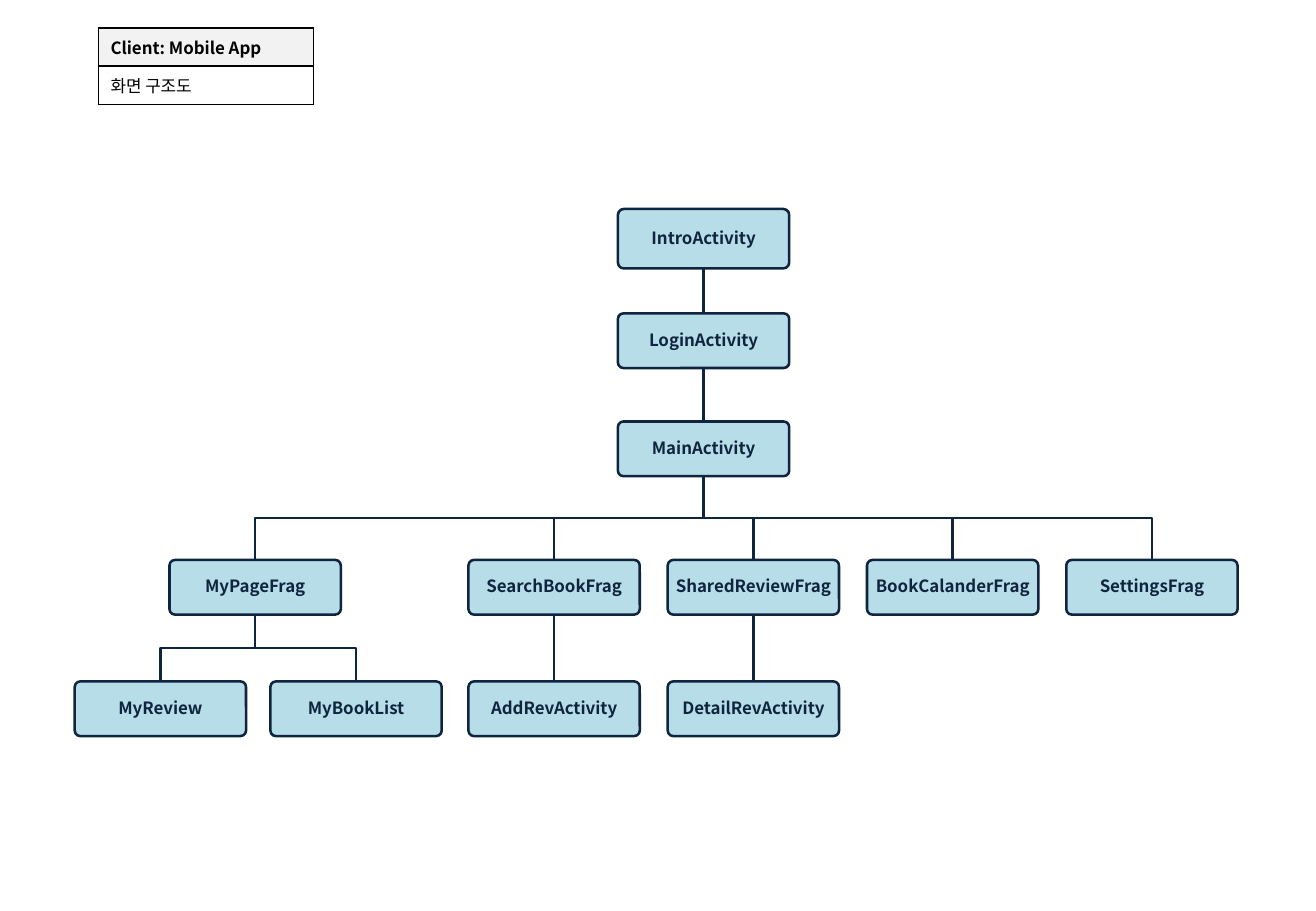
from dataclasses import dataclass
from typing import NamedTuple

from lxml.etree import SubElement
from pptx import Presentation
from pptx.dml.color import RGBColor as RGB
from pptx.enum.shapes import MSO_CONNECTOR as Connector, MSO_SHAPE as Preset
from pptx.enum.text import MSO_ANCHOR as Anchor, PP_ALIGN as Align
from pptx.oxml.ns import qn
from pptx.util import Inches, Pt


@dataclass(frozen=True)
class Theme:
    """Colours, font and sizes of the slide."""
    node: RGB = RGB(0xB7, 0xDE, 0xE8)
    navy: RGB = RGB(0x0F, 0x24, 0x3E)
    black: RGB = RGB(0, 0, 0)
    header: RGB = RGB(0xF2, 0xF2, 0xF2)
    white: RGB = RGB(0xFF, 0xFF, 0xFF)
    font: str = "Noto Sans CJK KR"
    text_size: Pt = Pt(10)
    line_width: Pt = Pt(1.5)
    border_width: Pt = Pt(1)


class Box(NamedTuple):
    """A rectangle in inches."""
    left: float
    top: float
    width: float
    height: float

    @property
    def centre(self):
        """Return the horizontal centre."""
        return self.left + self.width / 2

    @property
    def bottom(self):
        """Return the lower edge."""
        return self.top + self.height


THEME = Theme()
NODE_WIDTH, NODE_HEIGHT, INTRO_HEIGHT = 1.41, 0.45, 0.49
INTRO_TOP, LOGIN_TOP, MAIN_TOP, FRAGMENT_TOP, DETAIL_TOP = 0, 0.86, 1.75, 2.89, 3.89
SEARCH_X, PITCH = 3.94, 1.64
MY_PAGE_X = SEARCH_X - 1.5 * PITCH
SHARED_X, CALENDAR_X, SETTINGS_X = (SEARCH_X + PITCH * step for step in (1, 2, 3))
MAIN_X = (MY_PAGE_X + SETTINGS_X) / 2

SCREENS = [
    ("IntroActivity", None, MAIN_X, INTRO_TOP, INTRO_HEIGHT),
    ("LoginActivity", "IntroActivity", MAIN_X, LOGIN_TOP, NODE_HEIGHT),
    ("MainActivity", "LoginActivity", MAIN_X, MAIN_TOP, NODE_HEIGHT),
    ("MyPageFrag", "MainActivity", MY_PAGE_X, FRAGMENT_TOP, NODE_HEIGHT),
    ("MyReview", "MyPageFrag", 0.7, DETAIL_TOP, NODE_HEIGHT),
    ("MyBookList", "MyPageFrag", 2.31, DETAIL_TOP, NODE_HEIGHT),
    ("SearchBookFrag", "MainActivity", SEARCH_X, FRAGMENT_TOP, NODE_HEIGHT),
    ("AddRevActivity", "SearchBookFrag", SEARCH_X, DETAIL_TOP, NODE_HEIGHT),
    ("SharedReviewFrag", "MainActivity", SHARED_X, FRAGMENT_TOP, NODE_HEIGHT),
    ("DetailRevActivity", "SharedReviewFrag", SHARED_X, DETAIL_TOP, NODE_HEIGHT),
    ("BookCalanderFrag", "MainActivity", CALENDAR_X, FRAGMENT_TOP, NODE_HEIGHT),
    ("SettingsFrag", "MainActivity", SETTINGS_X, FRAGMENT_TOP, NODE_HEIGHT),
]


def add_run(paragraph, text, colour, bold):
    """Add one run in the theme font, for Latin and Korean text alike."""
    run = paragraph.add_run()
    run.text = text
    font = run.font
    font.name, font.size, font.bold = THEME.font, THEME.text_size, bold
    font.color.rgb = colour
    SubElement(font._element, qn("a:ea")).set("typeface", THEME.font)


def style_line(line):
    """Give a line the theme's stroke."""
    line.color.rgb = THEME.navy
    line.width = THEME.line_width


def add_screen(slide, name, box):
    """Add a rounded box naming one screen."""
    screen = slide.shapes.add_shape(Preset.ROUNDED_RECTANGLE, *map(Inches, box))
    screen.adjustments[0] = 0.1
    screen.shadow.inherit = False
    screen.fill.solid()
    screen.fill.fore_color.rgb = THEME.node
    style_line(screen.line)
    frame = screen.text_frame
    frame.word_wrap = True
    frame.vertical_anchor = Anchor.MIDDLE
    frame.margin_left = frame.margin_right = Inches(0.04)
    frame.margin_top = frame.margin_bottom = Inches(0.04)
    label = frame.paragraphs[0]
    label.alignment = Align.CENTER
    label.line_spacing = 0.9
    label.space_after = Pt(3.5)
    add_run(label, name, THEME.navy, True)
    return screen


def add_branch(slide, parent, child, parent_screen, child_screen):
    """Link a parent to its child, straight down or bent halfway."""
    if parent.centre == child.centre:
        link = slide.shapes.add_connector(
            Connector.STRAIGHT, Inches(parent.centre), Inches(parent.bottom),
            Inches(child.centre), Inches(child.top))
        link.begin_connect(parent_screen, 2)
        link.end_connect(child_screen, 0)
        SubElement(link._element.spPr, qn("a:effectLst"))
    else:
        middle = (parent.bottom + child.top) / 2
        outline = slide.shapes.build_freeform(Inches(parent.centre), Inches(parent.bottom))
        bends = [(parent.centre, middle), (child.centre, middle), (child.centre, child.top)]
        outline.add_line_segments([(Inches(x), Inches(y)) for x, y in bends], close=False)
        link = outline.convert_to_shape()
        link.fill.background()
        link.shadow.inherit = False
    style_line(link.line)


def add_screen_tree(slide, area):
    """Draw the tree of screens inside the area."""
    placed = {}
    for name, parent, centre, top, height in SCREENS:
        box = Box(area.left + centre - NODE_WIDTH / 2, area.top + top, NODE_WIDTH, height)
        screen = add_screen(slide, name, box)
        placed[name] = box, screen
        if parent:
            parent_box, parent_screen = placed[parent]
            add_branch(slide, parent_box, box, parent_screen, screen)


def add_borders(cell):
    """Draw all four borders of a table cell."""
    properties = cell._tc.get_or_add_tcPr()
    for side in ("a:lnL", "a:lnR", "a:lnT", "a:lnB"):
        border = SubElement(properties, qn(side), w=str(int(THEME.border_width)))
        fill = SubElement(border, qn("a:solidFill"))
        SubElement(fill, qn("a:srgbClr"), val=str(THEME.black))


def add_heading_table(slide, area):
    """Add the table naming the client and the diagram."""
    rows = [("Client: Mobile App", THEME.header, True), ("화면 구조도", THEME.white, False)]
    table = slide.shapes.add_table(len(rows), 1, *map(Inches, area)).table
    table.first_row = table.horz_banding = False
    for index, (text, colour, bold) in enumerate(rows):
        table.rows[index].height = Inches(area.height / len(rows))
        cell = table.cell(index, 0)
        add_borders(cell)
        cell.fill.solid()
        cell.fill.fore_color.rgb = colour
        cell.vertical_anchor = Anchor.MIDDLE
        add_run(cell.text_frame.paragraphs[0], text, THEME.black, bold)


def main():
    """Build and save the screen structure slide."""
    deck = Presentation()
    deck.slide_width, deck.slide_height = Inches(10.83), Inches(7.5)
    slide = deck.slides.add_slide(deck.slide_layouts[6])
    add_screen_tree(slide, Box(0.62, 1.72, 9.57, 4.34))
    add_heading_table(slide, Box(0.81, 0.23, 1.77, 0.63))
    deck.save("out.pptx")


main()
